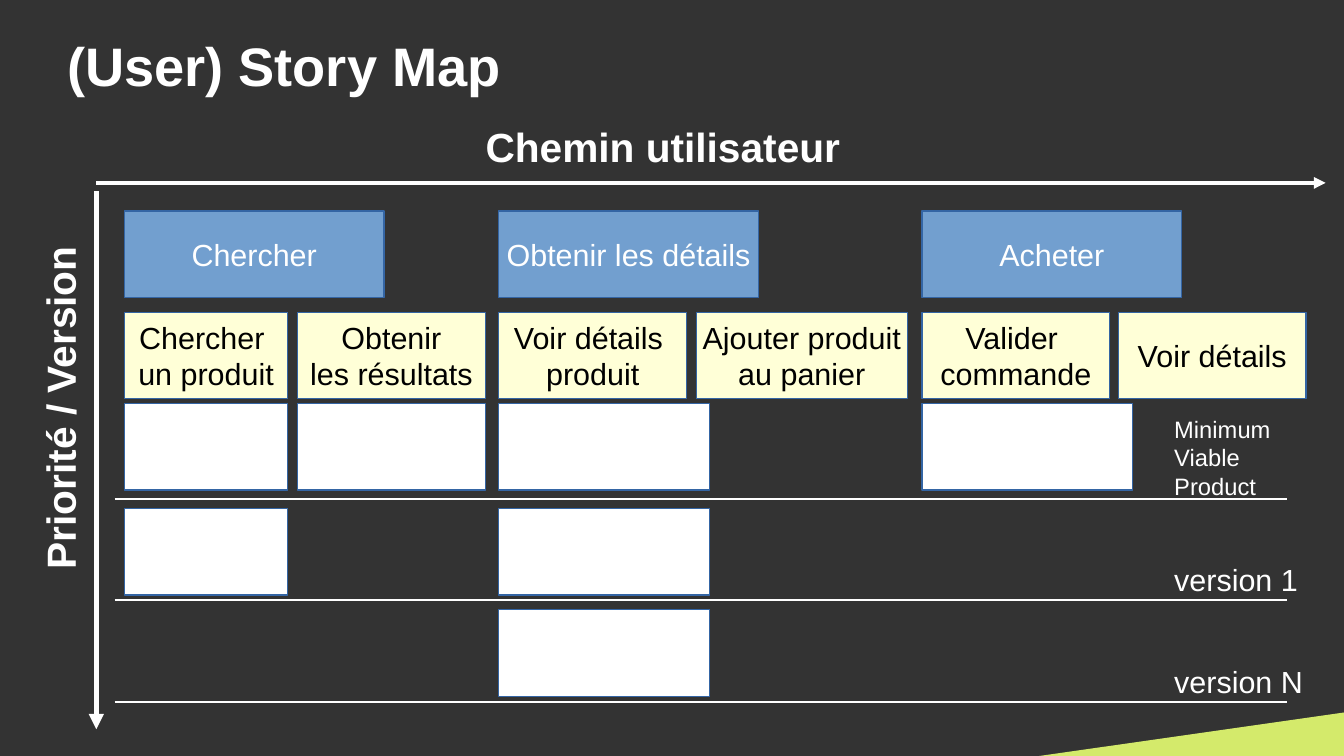
from lxml import etree
from pptx import Presentation
from pptx.dml.color import RGBColor
from pptx.enum.shapes import MSO_CONNECTOR as Connector, MSO_SHAPE as Shape
from pptx.enum.text import MSO_ANCHOR as Anchor, PP_ALIGN as Align
from pptx.oxml.ns import qn
from pptx.util import Inches, Pt

DARK = RGBColor(0x33, 0x33, 0x33)
WHITE = RGBColor(0xFF, 0xFF, 0xFF)
BLACK = RGBColor(0, 0, 0)
BLUE = RGBColor(0x72, 0x9F, 0xCF)
BORDER = RGBColor(0x34, 0x65, 0xA4)
CREAM = RGBColor(0xFF, 0xFF, 0xD7)
LIME = RGBColor(0xD4, 0xEA, 0x6B)

# Content
TITLE = "(User) Story Map"
JOURNEY_AXIS = "Chemin utilisateur"
PRIORITY_AXIS = "Priorité / Version"

# Activity: left edge, name, steps (left, width, lines), stories (left, width, versions)
ACTIVITIES = [
    (1.02, "Chercher",
     [(1.02, 1.34, ["Chercher ", "un produit"]),
      (2.44, 1.54, ["Obtenir", "les résultats"])],
     [(1.02, 1.34, 2), (2.44, 1.54, 1)]),
    (4.09, "Obtenir les détails",
     [(4.09, 1.54, ["Voir détails ", "produit"]),
      (5.71, 1.73, ["Ajouter produit", "au panier"])],
     [(4.09, 1.73, 3)]),
    (7.56, "Acheter",
     [(7.56, 1.54, ["Valider ", "commande"]),
      (9.17, 1.54, ["Voir détails"])],
     [(7.56, 1.73, 1)]),
]
# Version: top of its stories, its bottom line, label height, label size, label
VERSIONS = [
    (3.31, 4.09, 0.75, 14, ["Minimum", "Viable", "Product"]),
    (4.17, 4.92, 0.38, 18, ["version 1"]),
    (5.00, 5.76, 0.38, 18, ["version N"]),
]

# Layout
SLIDE_W, SLIDE_H = 11.02, 6.2
CARD_H = 0.71
ACTIVITY_TOP, ACTIVITY_W = 1.73, 2.13
STEP_TOP = 2.56
AXIS_X, AXIS_Y = 0.79, 1.5
AXIS_LABEL_W, AXIS_LABEL_H = 4.25, 0.47
LINE_LEFT, LINE_RIGHT = 0.94, 10.55
LABEL_LEFT, LABEL_W = 9.53, 1.26

prs = Presentation()
prs.slide_width, prs.slide_height = Inches(SLIDE_W), Inches(SLIDE_H)
slide = prs.slides.add_slide(prs.slide_layouts[6])
slide.background.fill.solid()
slide.background.fill.fore_color.rgb = DARK


def write(frame, lines, size, color, align, bold=False):
    for i, line in enumerate(lines):
        para = frame.add_paragraph() if i else frame.paragraphs[0]
        para.alignment = align
        run = para.add_run()
        run.text = line
        run.font.name = "Arial"
        run.font.size = Pt(size)
        run.font.bold = bold
        run.font.color.rgb = color


def add_label(left, top, width, height, lines, size, align=Align.LEFT, bold=False):
    label = slide.shapes.add_textbox(*map(Inches, (left, top, width, height)))
    label.text_frame.word_wrap = True
    write(label.text_frame, lines, size, WHITE, align, bold)
    return label


def add_card(left, top, width, fill, lines=(), color=BLACK):
    card = slide.shapes.add_shape(
        Shape.RECTANGLE, *map(Inches, (left, top, width, CARD_H)))
    card.shadow.inherit = False
    card.fill.solid()
    card.fill.fore_color.rgb = fill
    card.line.color.rgb = BORDER
    card.line.width = Pt(0)
    card.text_frame.word_wrap = False
    card.text_frame.vertical_anchor = Anchor.MIDDLE
    write(card.text_frame, lines, 18, color, Align.CENTER)


def add_line(x1, y1, x2, y2, width, arrow=False):
    line = slide.shapes.add_connector(
        Connector.STRAIGHT, *map(Inches, (x1, y1, x2, y2)))
    line.line.color.rgb = WHITE
    line.line.width = Pt(width)
    if arrow:
        etree.SubElement(line.line._get_or_add_ln(), qn("a:tailEnd"), type="triangle")
    etree.SubElement(line._element.spPr, qn("a:effectLst"))


# Title and corner accent
title = add_label(0.55, 0.25, 9.92, 0.56, [TITLE], 32, bold=True).text_frame
title.margin_left = title.margin_right = title.margin_top = title.margin_bottom = 0
title.vertical_anchor = Anchor.MIDDLE

corner = slide.shapes.add_shape(
    Shape.RIGHT_TRIANGLE, *map(Inches, (9.47, 4.6, 0.41, 2.87)))
corner.rotation = 270
corner.shadow.inherit = False
corner.fill.solid()
corner.fill.fore_color.rgb = LIME
corner.line.fill.background()

# Axes
add_line(AXIS_X, AXIS_Y, 10.87, AXIS_Y, 2.3, arrow=True)
add_line(AXIS_X, 1.57, AXIS_X, 5.98, 3, arrow=True)
for left, top, caption, angle in [(3.31, 0.95, JOURNEY_AXIS, 0),
                                  (-1.65, 3.11, PRIORITY_AXIS, 270)]:
    axis_label = add_label(left, top, AXIS_LABEL_W, AXIS_LABEL_H, [caption], 24,
                           Align.CENTER, bold=True)
    axis_label.rotation = angle

# Activities, their steps and their stories
for activity_left, activity, steps, stories in ACTIVITIES:
    add_card(activity_left, ACTIVITY_TOP, ACTIVITY_W, BLUE, [activity], WHITE)
    for left, width, lines in steps:
        add_card(left, STEP_TOP, width, CREAM, lines)
    for left, width, count in stories:
        for story_top, *_ in VERSIONS[:count]:
            add_card(left, story_top, width, WHITE)

# Version lines, each label resting on its line
for _, line_y, label_h, size, lines in VERSIONS:
    add_line(LINE_LEFT, line_y, LINE_RIGHT, line_y, 1)
    add_label(LABEL_LEFT, line_y + 0.01 - label_h, LABEL_W, label_h, lines, size)

prs.save("out.pptx")
